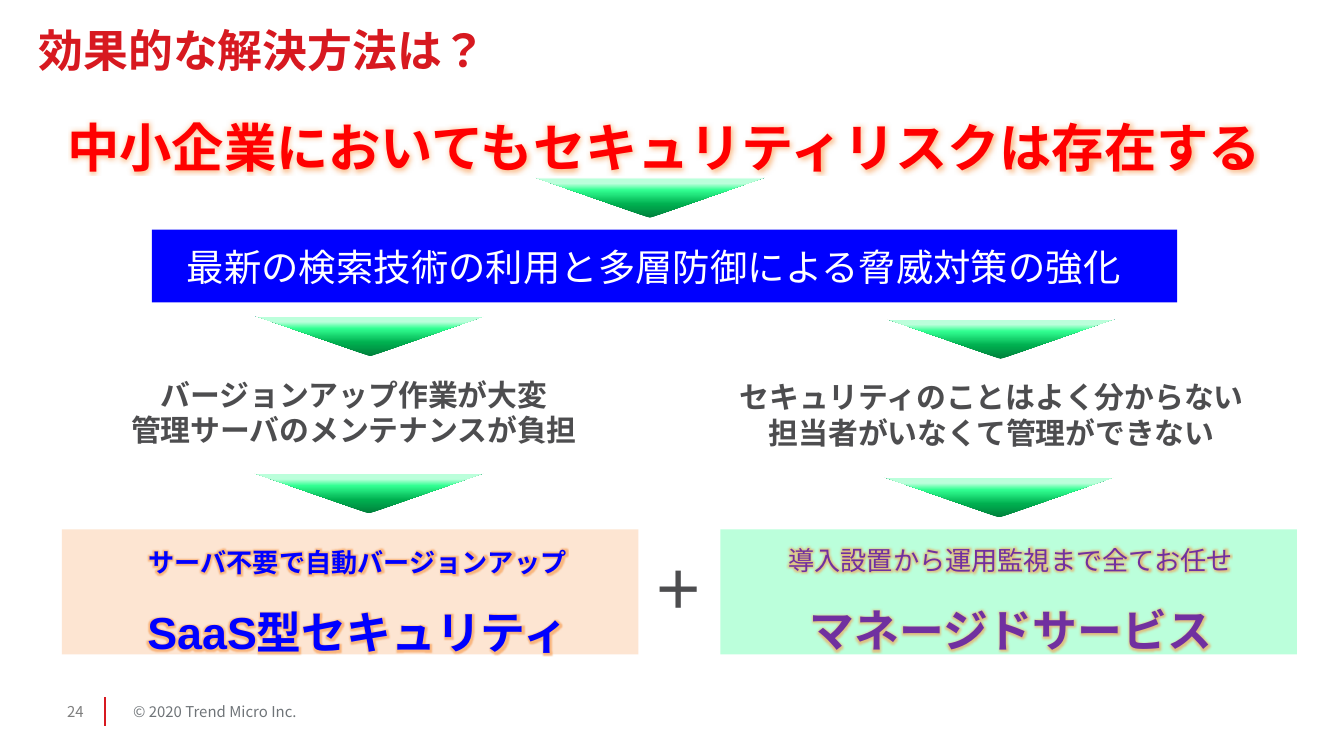
from dataclasses import dataclass

from lxml.etree import SubElement
from pptx import Presentation
from pptx.dml.color import RGBColor
from pptx.enum.lang import MSO_LANGUAGE_ID
from pptx.enum.shapes import MSO_CONNECTOR, MSO_SHAPE
from pptx.enum.text import MSO_ANCHOR, MSO_AUTO_SIZE, PP_ALIGN
from pptx.oxml.ns import qn
from pptx.slide import Slide
from pptx.util import Inches, Pt


@dataclass(frozen=True)
class Theme:
    japanese: str = "Noto Sans CJK JP"
    latin: str = "Arial"
    symbol: str = "Calibri"
    brand: str = "D71920"
    alert: str = "FF0000"
    blue: str = "0000FF"
    purple: str = "7030A0"
    body: str = "4D4D4F"
    white: str = "FFFFFF"
    peach: str = "FDE5D2"
    mint: str = "BBFFDB"
    copyright: str = "6F7478"
    number: str = "7F7F7F"
    glow: str = "F79646"
    arrow_stops: tuple = ((0, "007F3B"), (34, "00B050"), (69, "32FF92"),
                          (85, "BBFFDB"), (97, "BBFFDB"), (98, "FFFFFF"))
    small: int = 8
    caption: int = 14
    text: int = 16
    band: int = 20
    heading: int = 24
    headline: int = 28


THEME = Theme()
NO_INSET = (0, 0, 0, 0)
FLUSH_LEFT = (0, 0.05, 0.1, 0.05)
DEFAULT_INSET = (0.1, 0.05, 0.1, 0.05)


@dataclass(frozen=True)
class Box:
    left: float
    top: float
    width: float
    height: float

    def lengths(self) -> tuple:
        return tuple(Inches(v) for v in (self.left, self.top, self.width, self.height))


@dataclass(frozen=True)
class Line:
    text: str
    size: int
    bold: bool = True


@dataclass(frozen=True)
class TextBlock:
    box: Box
    lines: tuple
    color: str
    font: str = THEME.japanese
    centered: bool = False
    insets: tuple = FLUSH_LEFT
    wrap: bool = False
    grow: bool = False
    middle: bool = False
    spacing: float = 1.0
    glow: bool = False


def add_glow(run) -> None:
    properties = run._r.get_or_add_rPr()
    effects = SubElement(properties, qn("a:effectLst"))
    glow = SubElement(effects, qn("a:glow"), rad=str(Pt(5)))
    color = SubElement(glow, qn("a:srgbClr"), val=THEME.glow)
    SubElement(color, qn("a:alpha"), val="60000")


def add_text(slide: Slide, block: TextBlock) -> None:
    frame = slide.shapes.add_textbox(*block.box.lengths()).text_frame
    frame.word_wrap = block.wrap
    frame.auto_size = MSO_AUTO_SIZE.SHAPE_TO_FIT_TEXT if block.grow else MSO_AUTO_SIZE.NONE
    frame.vertical_anchor = MSO_ANCHOR.MIDDLE if block.middle else MSO_ANCHOR.TOP
    (frame.margin_left, frame.margin_top,
     frame.margin_right, frame.margin_bottom) = (Inches(v) for v in block.insets)
    for index, line in enumerate(block.lines):
        paragraph = frame.add_paragraph() if index else frame.paragraphs[0]
        paragraph.alignment = PP_ALIGN.CENTER if block.centered else PP_ALIGN.LEFT
        paragraph.line_spacing = block.spacing
        run = paragraph.add_run()
        run.text = line.text
        run.font.language_id = MSO_LANGUAGE_ID.JAPANESE
        if block.glow:
            add_glow(run)
        font = paragraph.font
        font.name, font.size, font.bold = block.font, Pt(line.size), line.bold
        font.color.rgb = RGBColor.from_string(block.color)
        SubElement(font._element, qn("a:ea"), typeface=THEME.japanese)


def add_panel(slide: Slide, box: Box, color: str) -> None:
    panel = slide.shapes.add_shape(MSO_SHAPE.RECTANGLE, *box.lengths())
    panel.shadow.inherit = False
    panel.fill.solid()
    panel.fill.fore_color.rgb = RGBColor.from_string(color)
    panel.line.fill.background()


def add_down_arrow(slide: Slide, left: float, top: float) -> None:
    arrow = slide.shapes.add_shape(MSO_SHAPE.ISOSCELES_TRIANGLE,
                                   *Box(left, top, 1.71, 0.3).lengths())
    arrow.rotation = 180
    arrow.shadow.inherit = False
    arrow.line.fill.background()
    arrow.fill.gradient()
    arrow.fill.gradient_angle = 270
    stops = arrow._element.spPr.find(qn("a:gradFill")).find(qn("a:gsLst"))
    for stop in list(stops):
        stops.remove(stop)
    for percent, color in THEME.arrow_stops:
        stop = SubElement(stops, qn("a:gs"), pos=str(percent * 1000))
        SubElement(stop, qn("a:srgbClr"), val=color)


def add_footer_rule(slide: Slide) -> None:
    rule = slide.shapes.add_connector(MSO_CONNECTOR.STRAIGHT, Inches(0.78), Inches(5.19),
                                      Inches(0.78), Inches(5.4))
    rule.line.color.rgb = RGBColor.from_string(THEME.brand)
    rule.line.width = Pt(1)
    SubElement(rule._element.spPr, qn("a:effectLst"))


PANELS = (
    (Box(1.13, 1.71, 7.63, 0.54), THEME.blue),
    (Box(0.46, 3.94, 4.29, 0.93), THEME.peach),
    (Box(5.36, 3.94, 4.29, 0.93), THEME.mint),
)
ARROWS = ((3.98, 1.32), (1.9, 2.35), (6.59, 2.37), (1.89, 3.52), (6.58, 3.55))
TEXTS = (
    # Footer
    TextBlock(Box(0.99, 5.14, 1.67, 0.31),
              (Line("© 2020 Trend Micro Inc.", THEME.small, False),),
              THEME.copyright, insets=NO_INSET, middle=True),
    TextBlock(Box(0.5, 5.14, 0.25, 0.31), (Line("24", THEME.small, False),),
              THEME.number, insets=NO_INSET, middle=True),
    # Title, headline and blue band
    TextBlock(Box(0.19, 0.12, 6.74, 0.5), (Line("効果的な解決方法は？", THEME.heading),),
              THEME.brand, insets=DEFAULT_INSET, wrap=True, grow=True),
    TextBlock(Box(1, 0.81, 7.98, 0.51),
              (Line("中小企業においてもセキュリティリスクは存在する", THEME.headline),),
              THEME.alert, centered=True, glow=True),
    TextBlock(Box(1.39, 1.77, 7.24, 0.36),
              (Line("最新の検索技術の利用と多層防御による脅威対策の強化", THEME.band, False),),
              THEME.white),
    # Problems
    TextBlock(Box(0.65, 2.75, 4.07, 0.68),
              (Line("バージョンアップ作業が大変", THEME.text),
               Line("管理サーバのメンテナンスが負担", THEME.text)),
              THEME.body, centered=True),
    TextBlock(Box(5.41, 2.77, 4.04, 0.69),
              (Line("セキュリティのことはよく分からない", THEME.text),
               Line("担当者がいなくて管理ができない", THEME.text)),
              THEME.body, centered=True),
    # Solutions
    TextBlock(Box(0.67, 3.9, 4.08, 1.17),
              (Line("サーバ不要で自動バージョンアップ", THEME.caption),
               Line("SaaS型セキュリティ", THEME.heading)),
              THEME.blue, THEME.latin, centered=True, wrap=True, spacing=1.5, glow=True),
    TextBlock(Box(4.76, 4.1, 0.59, 0.57), (Line("＋", THEME.headline),),
              THEME.body, THEME.symbol, insets=DEFAULT_INSET, grow=True),
    TextBlock(Box(5.39, 3.88, 4.26, 1.06),
              (Line("導入設置から運用監視まで全てお任せ", THEME.caption, False),
               Line("マネージドサービス", THEME.heading)),
              THEME.purple, THEME.latin, centered=True, insets=DEFAULT_INSET,
              wrap=True, grow=True, middle=True, spacing=1.5, glow=True),
)


def main() -> None:
    presentation = Presentation()
    # Widescreen, 16:9
    presentation.slide_width = Inches(10)
    presentation.slide_height = Inches(10 * 9 / 16)
    slide = presentation.slides.add_slide(presentation.slide_layouts[6])
    add_footer_rule(slide)
    for box, color in PANELS:
        add_panel(slide, box, color)
    for block in TEXTS:
        add_text(slide, block)
    for left, top in ARROWS:
        add_down_arrow(slide, left, top)
    presentation.save("out.pptx")


if __name__ == "__main__":
    main()
